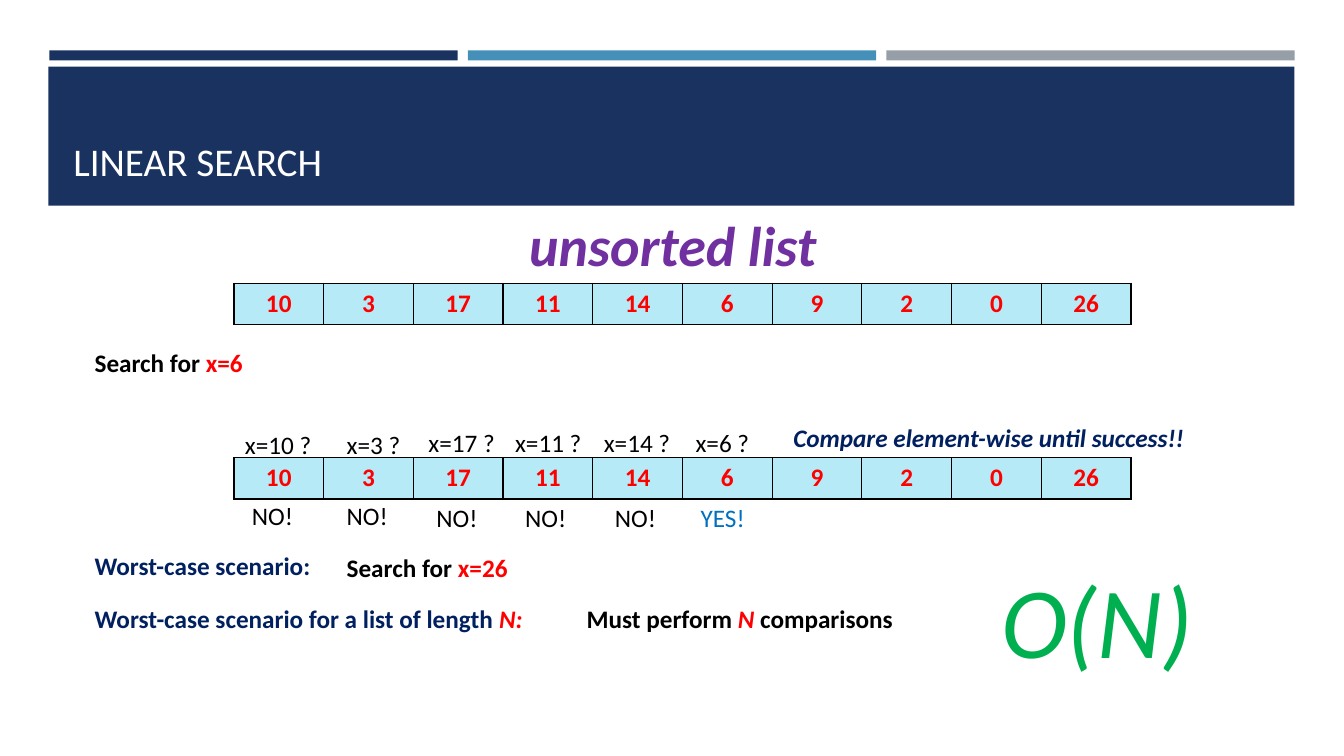
from dataclasses import dataclass

from lxml import etree
from pptx import Presentation
from pptx.dml.color import RGBColor
from pptx.enum.shapes import MSO_SHAPE
from pptx.enum.text import MSO_ANCHOR, PP_ALIGN
from pptx.oxml.ns import qn
from pptx.util import Emu, Pt

RECTANGLE = MSO_SHAPE.RECTANGLE
TOP, MIDDLE, BOTTOM = MSO_ANCHOR.TOP, MSO_ANCHOR.MIDDLE, MSO_ANCHOR.BOTTOM
CENTER = PP_ALIGN.CENTER
EMU_PER_PX = 9144


@dataclass(frozen=True)
class Theme:
    font: str = "Calibri"
    navy: str = "1A3260"
    blue: str = "4590B8"
    gray: str = "969FA7"
    white: str = "FFFFFF"
    black: str = "000000"
    red: str = "FF0000"
    purple: str = "7030A0"
    ink: str = "002060"
    green: str = "00B050"
    success: str = "0070C0"
    cell: str = "B5EAF6"
    body: int = 18
    title: int = 28
    heading: int = 40
    formula: int = 72


def px(length):
    return Emu(length * EMU_PER_PX)


class SlideBuilder:
    """Draws styled elements on one slide, with lengths in px."""

    def __init__(self, slide, theme):
        self.slide = slide
        self.theme = theme

    def style(self, run, color, size, bold=False, italic=False):
        run.font.name = self.theme.font
        run.font.size = Pt(size)
        run.font.bold = bold
        run.font.italic = italic
        run.font.color.rgb = RGBColor.from_string(color)

    def bar(self, left, top, width, height, color):
        shape = self.slide.shapes.add_shape(
            RECTANGLE, px(left), px(top), px(width), px(height))
        shape.shadow.inherit = False
        shape.fill.solid()
        shape.fill.fore_color.rgb = RGBColor.from_string(color)
        shape.line.fill.background()

    def text(self, left, top, width, height, parts, size=None,
             bold=False, italic=False, anchor=TOP):
        """Each part is (text, color) or (text, color, italic)."""
        shape = self.slide.shapes.add_textbox(
            px(left), px(top), px(width), px(height))
        frame = shape.text_frame
        frame.word_wrap = True
        frame.margin_right = 0
        frame.vertical_anchor = anchor
        for words, color, *slant in parts:
            run = frame.paragraphs[0].add_run()
            run.text = words
            self.style(run, color, size or self.theme.body, bold,
                       slant[0] if slant else italic)

    def border(self, cell):
        properties = cell._tc.get_or_add_tcPr()
        for side in ("a:lnL", "a:lnR", "a:lnT", "a:lnB"):
            line = etree.SubElement(properties, qn(side), w=str(Pt(1)))
            fill = etree.SubElement(line, qn("a:solidFill"))
            etree.SubElement(fill, qn("a:srgbClr"), val=self.theme.black)

    def list_table(self, left, top, cell_width, height, values):
        table = self.slide.shapes.add_table(
            1, len(values), px(left), px(top),
            px(cell_width * len(values)), px(height)).table
        table.first_row = False
        table.horz_banding = False
        for column, cell, value in zip(table.columns, table.rows[0].cells, values):
            column.width = px(cell_width)
            self.border(cell)
            cell.fill.solid()
            cell.fill.fore_color.rgb = RGBColor.from_string(self.theme.cell)
            cell.vertical_anchor = MIDDLE
            cell.text = str(value)
            paragraph = cell.text_frame.paragraphs[0]
            paragraph.alignment = CENTER
            self.style(paragraph.runs[0], self.theme.red, self.theme.body, bold=True)


def main():
    presentation = Presentation()
    presentation.slide_width = px(1333)
    presentation.slide_height = px(750)
    theme = Theme()
    slide = presentation.slides.add_slide(presentation.slide_layouts[6])
    builder = SlideBuilder(slide, theme)

    for index, color in enumerate((theme.navy, theme.blue, theme.gray)):
        builder.bar(49 + 415 * index, 50, 405, 10, color)
    builder.bar(48, 66, 1236, 138, theme.navy)
    builder.text(63, 80, 1206, 108, [("LINEAR SEARCH", theme.white)],
                 theme.title, anchor=BOTTOM)
    builder.text(515, 204, 323, 77, [("unsorted list", theme.purple)],
                 theme.heading, bold=True, italic=True)

    values = (10, 3, 17, 11, 14, 6, 9, 2, 0, 26)
    for top in (281, 454):
        builder.list_table(232, top, 89, 41, values)

    target = 6
    question_lefts = (233, 334, 415, 501, 589, 680)
    answer_lefts = (240, 334, 423, 511, 600, 685)
    question_tops = (421, 421, 419, 419, 419, 419)
    answer_tops = (491, 491, 493, 493, 493, 493)
    for value, question_left, question_top, answer_left, answer_top in zip(
            values, question_lefts, question_tops, answer_lefts, answer_tops):
        answer = ("YES!", theme.success) if value == target else ("NO!", theme.black)
        builder.text(question_left, question_top, 88, 40,
                     [(f"x={value} ?", theme.black)])
        builder.text(answer_left, answer_top, 68, 40, [answer])

    builder.text(777, 414, 431, 40,
                 [("Compare element-wise until success!!", theme.ink)],
                 bold=True, italic=True)
    statements = (
        (84, 340, 191, [("Search for ", theme.black), ("x=6", theme.red)]),
        (84, 541, 270, [("Worst-case scenario:", theme.ink)]),
        (334, 543, 205, [("Search for ", theme.black), ("x=26", theme.red)]),
        (84, 594, 508, [("Worst-case scenario for a list of length ", theme.ink),
                        ("N:", theme.red, True)]),
        (572, 594, 368, [("Must perform ", theme.black), ("N", theme.red, True),
                         (" comparisons", theme.black)]),
    )
    for left, top, width, parts in statements:
        builder.text(left, top, width, 40, parts, bold=True)
    builder.text(983, 548, 215, 131, [("O(N)", theme.green)],
                 theme.formula, italic=True)

    presentation.save("out.pptx")


if __name__ == "__main__":
    main()
